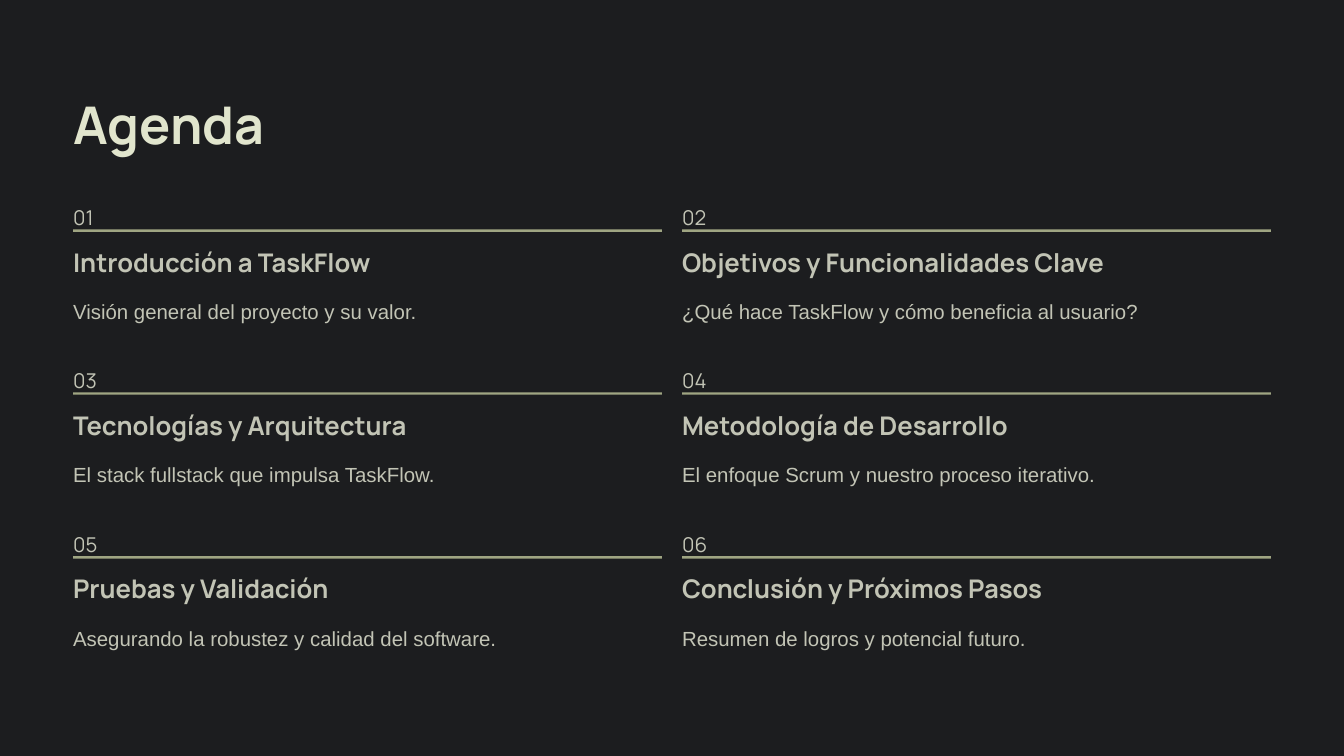
import pptx
import pptx.dml.color
import pptx.enum.shapes
import pptx.util

Inches = pptx.util.Inches
Pt = pptx.util.Pt
RGB = pptx.dml.color.RGBColor.from_string

COLORS = {
    "background": "1C1D1F",
    "title": "E1E5CD",
    "body": "C2C4B5",
    "rule": "9FA582",
}

presentation = pptx.Presentation()
presentation.slide_width = Inches(16)
presentation.slide_height = Inches(9)
slide = presentation.slides.add_slide(presentation.slide_layouts[6])


def add_rectangle(left, top, width, height, color):
    rectangle = slide.shapes.add_shape(
        pptx.enum.shapes.MSO_SHAPE.RECTANGLE,
        Inches(left), Inches(top), Inches(width), Inches(height),
    )
    rectangle.shadow.inherit = False
    rectangle.fill.solid()
    rectangle.fill.fore_color.rgb = RGB(COLORS[color])
    rectangle.line.fill.background()


def add_text(text, left, top, width, height, size, spacing, font, color, bold=False):
    frame = slide.shapes.add_textbox(
        Inches(left), Inches(top), Inches(width), Inches(height)
    ).text_frame
    frame.margin_left = frame.margin_right = 0
    frame.margin_top = frame.margin_bottom = 0
    frame.word_wrap = True
    paragraph = frame.paragraphs[0]
    paragraph.text = text
    paragraph.line_spacing = Pt(spacing)
    paragraph.font.size = Pt(size)
    paragraph.font.name = font
    paragraph.font.bold = bold
    paragraph.font.color.rgb = RGB(COLORS[color])


topics = [
    ("Introducción a TaskFlow", "Visión general del proyecto y su valor.", 3.7),
    ("Objetivos y Funcionalidades Clave",
     "¿Qué hace TaskFlow y cómo beneficia al usuario?", 5.2),
    ("Tecnologías y Arquitectura", "El stack fullstack que impulsa TaskFlow.", 4.1),
    ("Metodología de Desarrollo",
     "El enfoque Scrum y nuestro proceso iterativo.", 4.1),
    ("Pruebas y Validación", "Asegurando la robustez y calidad del software.", 3.2),
    ("Conclusión y Próximos Pasos", "Resumen de logros y potencial futuro.", 4.5),
]

column_lefts = (0.87, 8.12)
row_tops = (2.34, 4.28, 6.23)
column_width = 7.01

add_rectangle(0, 0, 16, 9, "background")
add_text("Agenda", column_lefts[0], 1.07, 6.2, 0.78,
         44.5, 55.5, "Manrope", "title", True)

for index, (heading, summary, heading_width) in enumerate(topics):
    row, column = divmod(index, 2)
    left = column_lefts[column]
    top = row_tops[row]

    add_text(f"{index + 1:02}", left, top, 0.4, 0.31, 17.5, 28.5, "Manrope", "body")
    add_rectangle(left, top + 0.39, column_width, 0.03, "rule")
    add_text(heading, left, top + 0.58, heading_width, 0.39,
             22, 27.5, "Manrope", "body", True)
    add_text(summary, left, top + 1.12, column_width, 0.4,
             17.5, 28.5, "Arial", "body")

presentation.save("out.pptx")
